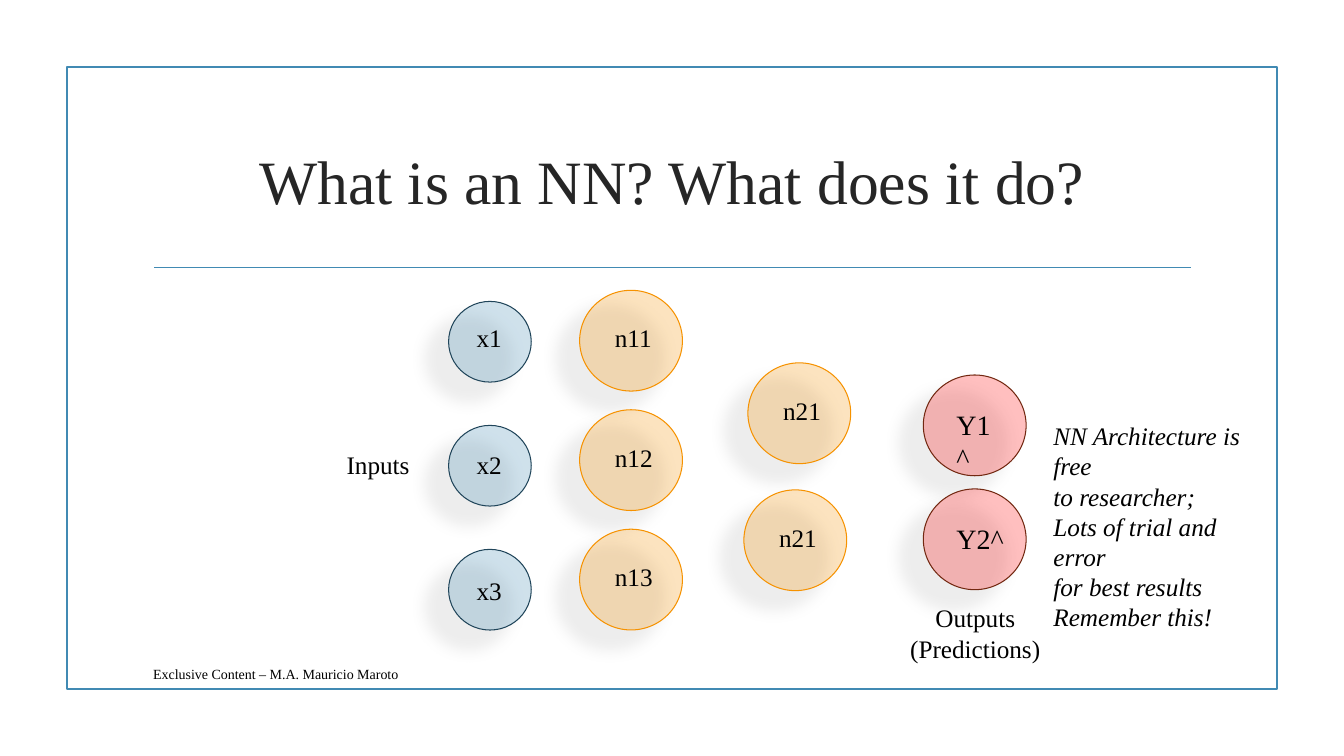
import dataclasses

import lxml.etree
import pptx
import pptx.dml.color
import pptx.enum.shapes
import pptx.enum.text
import pptx.oxml.ns
import pptx.shapes.autoshape
import pptx.slide
import pptx.util

RGBColor = pptx.dml.color.RGBColor
Shapes = pptx.enum.shapes.MSO_SHAPE
Align = pptx.enum.text.PP_ALIGN
Anchor = pptx.enum.text.MSO_ANCHOR

BLUE = RGBColor(0x41, 0x8A, 0xB3)
NAVY = RGBColor(0x20, 0x45, 0x5A)
ORANGE = RGBColor(0xF6, 0x92, 0x00)
RED = RGBColor(0xFF, 0x00, 0x00)
BROWN = RGBColor(0x72, 0x28, 0x11)
CHARCOAL = RGBColor(0x26, 0x26, 0x26)
BLACK = RGBColor(0x00, 0x00, 0x00)

FONT = "Times New Roman"
WIDTH, HEIGHT = pptx.util.Inches(13.33), pptx.util.Inches(7.5)


@dataclasses.dataclass(frozen=True)
class Box:
    """A rectangle in percent of the slide's width and height."""
    left: float
    top: float
    width: float
    height: float

    def emu(self) -> tuple[int, int, int, int]:
        return (across(self.left), down(self.top),
                across(self.width), down(self.height))


@dataclasses.dataclass(frozen=True)
class Kind:
    """The look shared by neurons of one role."""
    width: float
    height: float
    fill: RGBColor
    line: RGBColor
    label_dx: float
    size: int = 18


@dataclasses.dataclass(frozen=True)
class Neuron:
    kind: Kind
    label: str
    left: float
    top: float
    label_dy: float = 3.6
    label_width: float = 5.9


@dataclasses.dataclass(frozen=True)
class Text:
    box: Box
    lines: tuple[str, ...]
    size: int = 18
    color: RGBColor = BLACK
    align: Align = Align.LEFT
    anchor: Anchor = Anchor.TOP
    italic: bool = False
    inset: bool = True


INPUT = Kind(6.15, 10.67, BLUE, NAVY, 1.35)
HIDDEN = Kind(7.65, 13.33, ORANGE, ORANGE, 1.88)
OUTPUT = Kind(7.65, 13.33, RED, BROWN, 1.73, 20)

NEURONS = (
    *(Neuron(INPUT, f"x{i + 1}", 33.38, 39.87 + 16.4 * i, 2.13 + 0.33 * i)
      for i in range(3)),
    *(Neuron(HIDDEN, f"n1{i + 1}", 43.13, 38.4 + 15.8 * i) for i in range(3)),
    Neuron(HIDDEN, "n21", 55.65, 48),
    Neuron(HIDDEN, "n21", 55.35, 64.8),
    Neuron(OUTPUT, "Y1^", 68.7, 49.6, label_width=4.9),
    Neuron(OUTPUT, "Y2^", 68.7, 64.67),
)

TEXTS = (
    Text(Box(10.65, 14.27, 78.75, 19.07), ("What is an NN? What does it do?",),
         44, CHARCOAL, Align.CENTER, Anchor.MIDDLE),
    Text(Box(10.65, 87.07, 29.55, 4.13),
         ("Exclusive Content – M.A. Mauricio Maroto",),
         10, anchor=Anchor.MIDDLE),
    Text(Box(25.05, 58.8, 6.6, 5.33), ("Inputs",)),
    Text(Box(78.38, 55.6, 15.75, 20.13),
         ("NN Architecture is free", "to researcher;",
          "Lots of trial and error", "for best results", "Remember this!"),
         italic=True, inset=False),
    Text(Box(66.15, 79.07, 12.83, 9.47), ("Outputs", "(Predictions)"),
         align=Align.CENTER),
)


def across(share: float) -> int:
    return round(WIDTH * share / 100)


def down(share: float) -> int:
    return round(HEIGHT * share / 100)


def add_text(s: pptx.slide.Slide, text: Text) -> None:
    tf = s.shapes.add_textbox(*text.box.emu()).text_frame
    tf.word_wrap = True
    tf.vertical_anchor = text.anchor
    if not text.inset:
        tf.margin_left = tf.margin_right = tf.margin_top = tf.margin_bottom = 0
    for i, line in enumerate(text.lines):
        p = tf.paragraphs[0] if i == 0 else tf.add_paragraph()
        p.text = line
        p.alignment = text.align
        p.font.name = FONT
        p.font.size = pptx.util.Pt(text.size)
        p.font.color.rgb = text.color
        p.font.italic = text.italic


def add_alpha(color: lxml.etree.ElementBase, percent: int) -> None:
    alpha = lxml.etree.SubElement(color, pptx.oxml.ns.qn("a:alpha"))
    alpha.set("val", str(percent * 1000))


def cast_shadow(sp: pptx.shapes.autoshape.Shape) -> None:
    """Add a soft shadow falling to the lower left."""
    qn = pptx.oxml.ns.qn
    effects = sp.element.spPr.find(qn("a:effectLst"))
    shadow = lxml.etree.SubElement(
        effects, qn("a:outerShdw"), blurRad=str(pptx.util.Pt(11.8)),
        dist=str(pptx.util.Pt(19.7)), dir=str(141 * 60000),
        algn="ctr", rotWithShape="0")
    add_alpha(lxml.etree.SubElement(shadow, qn("a:srgbClr"), val=str(BLACK)), 28)


def add_neuron(s: pptx.slide.Slide, n: Neuron) -> None:
    kind = n.kind
    box = Box(n.left, n.top, kind.width, kind.height)
    sp = s.shapes.add_shape(Shapes.OVAL, *box.emu())
    sp.fill.solid()
    sp.fill.fore_color.rgb = kind.fill
    add_alpha(sp.element.spPr.find(".//" + pptx.oxml.ns.qn("a:srgbClr")), 25)
    sp.line.color.rgb = kind.line
    sp.line.width = pptx.util.Pt(0.75)
    sp.shadow.inherit = False
    cast_shadow(sp)
    label = Box(n.left + kind.label_dx, n.top + n.label_dy, n.label_width, 5.6)
    add_text(s, Text(label, (n.label,), kind.size))


def add_frame(s: pptx.slide.Slide) -> None:
    """Draw the border and the rule under the title."""
    border = s.shapes.add_shape(Shapes.RECTANGLE,
                                *Box(5, 8.89, 90, 82.22).emu())
    border.fill.background()
    border.shadow.inherit = False
    rule = s.shapes.add_connector(
        pptx.enum.shapes.MSO_CONNECTOR.STRAIGHT,
        across(11.46), down(35.4), across(88.6), down(35.4))
    lxml.etree.SubElement(rule.element.spPr, pptx.oxml.ns.qn("a:effectLst"))
    for sp in (border, rule):
        sp.line.color.rgb = BLUE
        sp.line.width = pptx.util.Pt(1.25)


def main() -> None:
    prs = pptx.Presentation()
    prs.slide_width, prs.slide_height = WIDTH, HEIGHT
    s = prs.slides.add_slide(prs.slide_layouts[6])
    add_frame(s)
    for neuron in NEURONS:
        add_neuron(s, neuron)
    for text in TEXTS:
        add_text(s, text)
    prs.save("out.pptx")


if __name__ == "__main__":
    main()
